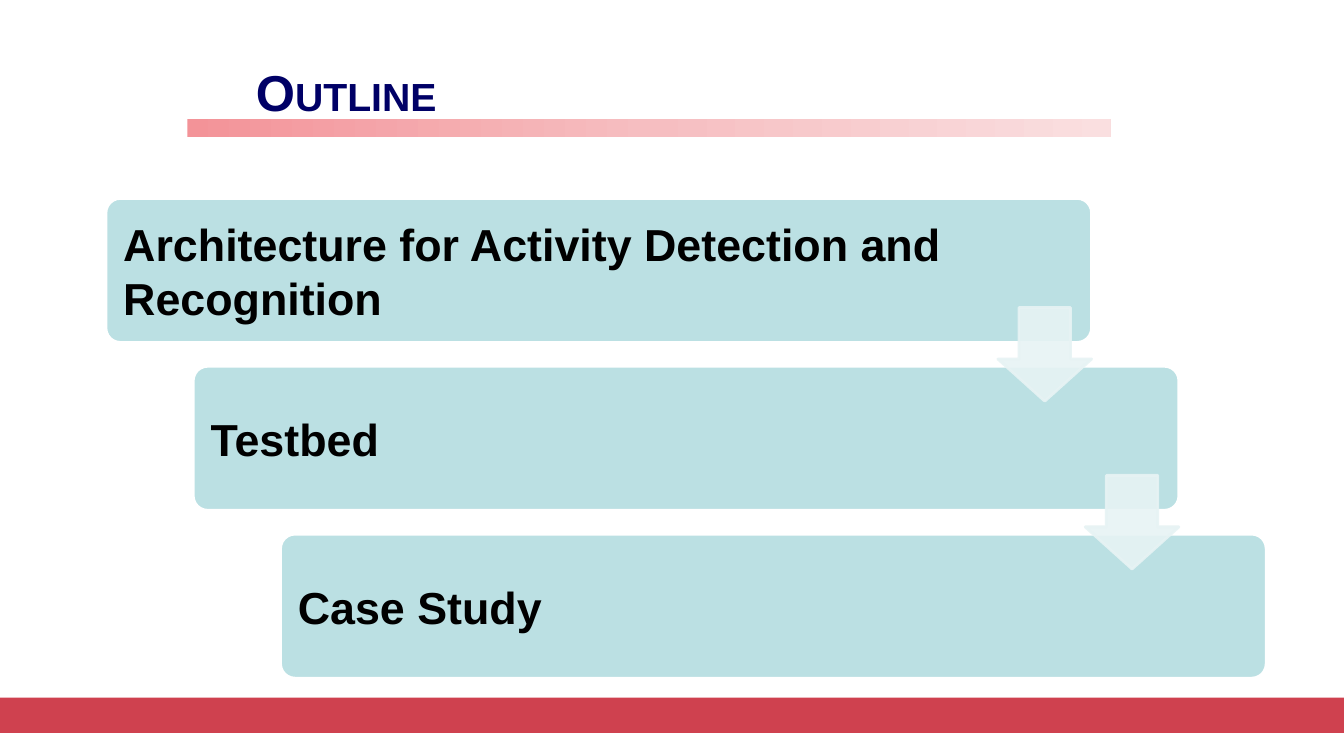
"""Build the outline slide: a title over three stepped boxes joined by arrows."""
import copy

import pptx
import pptx.dml.color
import pptx.enum.shapes
import pptx.enum.text
import pptx.oxml
import pptx.oxml.ns
import pptx.util

Cm = pptx.util.Cm
SHAPES = pptx.enum.shapes.MSO_SHAPE
ANCHORS = pptx.enum.text.MSO_ANCHOR

TITLE = [("O", 36), ("UTLINE", 28)]
TOPICS = ["Architecture for Activity Detection and Recognition", "Testbed", "Case Study"]
BAR_STOPS = [(0, "F39398"), (0.5, "F6BEC1"), (1, "FADFE0")]
COLORS = {"title": "000066", "text": "000000", "box": "BBE0E3", "edge": "FFFFFF",
          "arrow": "E7F3F4", "footer": "CF414F"}
ARROW_OPACITY = 90
PAGE_SIZE = (33.87, 19.05)
FOOTER = (0, 17.58, 33.87, 0.89)
BAR = (4.72, 3, 23.27, 0.45)
TITLE_BOX = (6.2, 1.12, 19.33, 2.06)
FIRST_BOX = (2.67, 5, 24.84, 3.63)
FIRST_ARROW = (25.15, 7.75, 2.36, 2.36)
STEP = (2.2, 4.23)
BOX_INSET = 0.33


def color(value):
    return pptx.dml.color.RGBColor.from_string(value)


def apply(target, values):
    for name, value in values.items():
        setattr(target, name, value)


def stepped(place, index):
    left, top, width, height = place
    return left + index * STEP[0], top + index * STEP[1], width, height


def add_figure(page, kind, place, fill, edge=None, adjustments=()):
    figure = page.shapes.add_shape(kind, *map(Cm, place))
    figure.shadow.inherit = False
    figure.fill.solid()
    figure.fill.fore_color.rgb = color(fill)
    if edge:
        figure.line.color.rgb = color(edge)
        figure.line.width = pptx.util.Pt(2)
    else:
        figure.line.fill.background()
    for index, value in enumerate(adjustments):
        figure.adjustments[index] = value
    return figure


def add_words(frame, spans, shade, frame_values):
    apply(frame, {"word_wrap": True, **frame_values})
    para = frame.paragraphs[0]
    para.alignment = pptx.enum.text.PP_ALIGN.LEFT
    for words, size in spans:
        span = para.add_run()
        span.text = words
        apply(span.font, {"name": "Arial", "size": pptx.util.Pt(size), "bold": True})
        span.font.color.rgb = color(shade)


def shade_bar(bar):
    bar.fill.gradient()
    bar.fill.gradient_angle = 0
    stop_list = next(bar.element.iter(pptx.oxml.ns.qn("a:gsLst")))
    stop_list.insert(1, copy.deepcopy(stop_list[0]))
    for stop, (position, shade) in zip(bar.fill.gradient_stops, BAR_STOPS):
        stop.position = position
        stop.color.rgb = color(shade)


def set_opacity(figure, percent):
    for shade in figure.element.spPr.iter(pptx.oxml.ns.qn("a:srgbClr")):
        alpha = pptx.oxml.parse_xml(
            f'<a:alpha {pptx.oxml.ns.nsdecls("a")} val="{percent * 1000}"/>')
        shade.append(alpha)


def main():
    deck = pptx.Presentation()
    deck.slide_width, deck.slide_height = map(Cm, PAGE_SIZE)
    page = deck.slides.add_slide(deck.slide_layouts[6])

    add_figure(page, SHAPES.RECTANGLE, FOOTER, COLORS["footer"])
    shade_bar(add_figure(page, SHAPES.RECTANGLE, BAR, BAR_STOPS[0][1]))
    title = page.shapes.add_textbox(*map(Cm, TITLE_BOX))
    add_words(title.text_frame, TITLE, COLORS["title"], {"vertical_anchor": ANCHORS.BOTTOM})

    sides = ("left", "top", "right", "bottom")
    box_format = {f"margin_{side}": Cm(BOX_INSET) for side in sides}
    box_format["vertical_anchor"] = ANCHORS.MIDDLE
    for index, topic in enumerate(TOPICS):
        box = add_figure(page, SHAPES.ROUNDED_RECTANGLE, stepped(FIRST_BOX, index),
                         COLORS["box"], COLORS["edge"], [0.1])
        add_words(box.text_frame, [(topic, 32)], COLORS["text"], box_format)

    for index in range(len(TOPICS) - 1):
        arrow = add_figure(page, SHAPES.DOWN_ARROW, stepped(FIRST_ARROW, index),
                           COLORS["arrow"], COLORS["arrow"], [0.55, 0.45])
        set_opacity(arrow, ARROW_OPACITY)

    deck.save("out.pptx")


if __name__ == "__main__":
    main()
